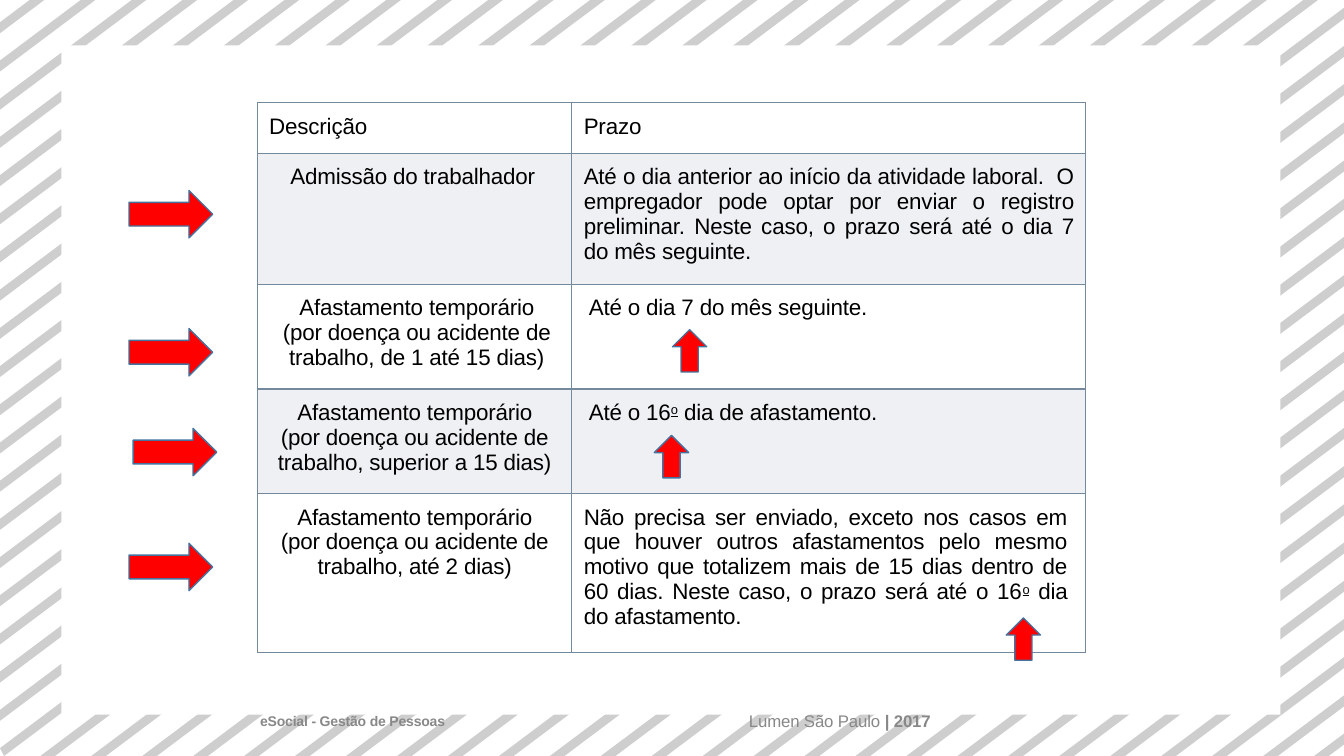
"""Build the slide listing eSocial events and their deadlines."""
import pptx
import pptx.dml.color
import pptx.enum.shapes
import pptx.enum.text
import pptx.oxml
import pptx.oxml.ns
import pptx.util
from pptx.util import Inches

ALIGN = pptx.enum.text.PP_ALIGN
SHAPE = pptx.enum.shapes.MSO_SHAPE
COLORS = {"stripe": "CECECE", "panel": "FFFFFF", "border": "748A9C", "band": "ABB8C3",
          "text": "000000", "footer": "888888", "arrow": "FF0000", "outline": "43739E"}
FONT = "Arial"
WIDTH, HEIGHT = 13.33, 7.5

# Each cell: alignment, left indent, right indent, runs (every second run is an ordinal mark).
ROWS = [
    (0.5, (ALIGN.LEFT, 0.12, 0, ["Descrição"]),
     (ALIGN.LEFT, 0.12, 0, ["Prazo"])),
    (1.3, (ALIGN.LEFT, 0.33, 0, ["Admissão do trabalhador"]),
     (ALIGN.JUSTIFY, 0.12, 0.11, [
         "Até o dia anterior ao início da atividade laboral.  O empregador pode optar por "
         "enviar o registro preliminar. Neste caso, o prazo será até o dia 7 do mês seguinte."])),
    (1.04, (ALIGN.CENTER, 0.22, 0.17, [
        "Afastamento temporário (por doença ou acidente de trabalho, de 1 até 15 dias)"]),
     (ALIGN.LEFT, 0.17, 0, ["Até o dia 7 do mês seguinte."])),
    (1.04, (ALIGN.CENTER, 0.18, 0.17, [
        "Afastamento temporário (por doença ou acidente de trabalho, superior a 15 dias)"]),
     (ALIGN.LEFT, 0.17, 0, ["Até o 16", "o", " dia de afastamento."])),
    (1.57, (ALIGN.CENTER, 0.18, 0.17, [
        "Afastamento temporário (por doença ou acidente de trabalho, até 2 dias)"]),
     (ALIGN.JUSTIFY, 0.12, 0.18, [
         "Não precisa ser enviado, exceto nos casos em que houver outros afastamentos pelo "
         "mesmo motivo que totalizem mais de 15 dias dentro de 60 dias. Neste caso, o prazo "
         "será até o 16", "o", " dia do afastamento."])),
]
COLUMNS = [3.12, 5.1]
TABLE_LEFT, TABLE_TOP = 2.55, 1.02
BANDED_ROWS = (1, 3)
FOOTERS = [
    ((6.08, 7.05, 4.5, 0.2), ALIGN.CENTER, 12, [("Lumen São Paulo ", False), ("| 2017", True)]),
    ((2.58, 7.07, 3, 0.17), ALIGN.LEFT, 10, [("eSocial - Gestão de Pessoas", True)]),
]
RIGHT_ARROWS = [(1.28, 1.89), (1.28, 3.26), (1.32, 4.25), (1.28, 5.39)]
UP_ARROWS = [(6.63, 3.31), (6.45, 4.36), (9.94, 6.17)]
STRIPE_COUNT, STRIPE_START, STRIPE_STEP, STRIPE_WIDTH = 46, 0.44, 0.5053, 0.145
STRIPE_RUN = 4 / 3


def rgb(name):
    return pptx.dml.color.RGBColor.from_string(COLORS[name])


def paint(shape, fill, line=None):
    shape.shadow.inherit = False
    shape.fill.solid()
    shape.fill.fore_color.rgb = rgb(fill)
    if line:
        shape.line.color.rgb = rgb(line)
        shape.line.width = pptx.util.Pt(1)
    else:
        shape.line.fill.background()


def add_span(para, text, size, color, bold=False):
    span = para.add_run()
    span.text = text
    span.font.name = FONT
    span.font.size = pptx.util.Pt(size)
    span.font.bold = bold
    span.font.color.rgb = rgb(color)
    span.font._element.set("spc", "-10")
    return span


def stripe_ends(edge):
    top = (edge, 0) if edge <= WIDTH else (WIDTH, (edge - WIDTH) / STRIPE_RUN)
    run = HEIGHT * STRIPE_RUN
    bottom = (0, edge / STRIPE_RUN) if edge <= run else (edge - run, HEIGHT)
    return top, bottom


def add_background(page):
    for index in range(STRIPE_COUNT):
        right = STRIPE_START + index * STRIPE_STEP
        right_top, right_bottom = stripe_ends(right)
        left_top, left_bottom = stripe_ends(right - STRIPE_WIDTH)
        start, *others = [(Inches(x), Inches(y)) for x, y in
                          (right_top, left_top, left_bottom, right_bottom)]
        outline = page.shapes.build_freeform(*start)
        outline.add_line_segments(others, close=True)
        paint(outline.convert_to_shape(), "stripe")
    panel = page.shapes.add_shape(SHAPE.RECTANGLE, Inches(0.61), Inches(0.45),
                                  Inches(12.09), Inches(6.64))
    paint(panel, "panel")


def style_cell(cell, banded):
    cell.margin_left = cell.margin_right = cell.margin_bottom = 0
    cell.margin_top = Inches(0.11)
    properties = cell._tc.get_or_add_tcPr()
    if banded:
        cell.fill.solid()
        cell.fill.fore_color.rgb = rgb("band")
        color = properties.find(".//" + pptx.oxml.ns.qn("a:srgbClr"))
        color.append(pptx.oxml.parse_xml(
            f'<a:alpha {pptx.oxml.ns.nsdecls("a")} val="20000"/>'))
    else:
        cell.fill.background()
    for position, side in enumerate("LRTB"):
        properties.insert(position, pptx.oxml.parse_xml(
            f'<a:ln{side} {pptx.oxml.ns.nsdecls("a")} w="12700"><a:solidFill>'
            f'<a:srgbClr val="{COLORS["border"]}"/></a:solidFill></a:ln{side}>'))


def add_deadlines(page):
    frame = page.shapes.add_table(
        len(ROWS), len(COLUMNS), Inches(TABLE_LEFT), Inches(TABLE_TOP),
        Inches(sum(COLUMNS)), Inches(sum(row[0] for row in ROWS)))
    table = frame.table
    table.first_row = table.horz_banding = False
    for column, width in zip(table.columns, COLUMNS):
        column.width = Inches(width)
    for row_index, (height, *cells) in enumerate(ROWS):
        table.rows[row_index].height = Inches(height)
        for column_index, (alignment, left, right, texts) in enumerate(cells):
            cell = table.cell(row_index, column_index)
            style_cell(cell, row_index in BANDED_ROWS)
            para = cell.text_frame.paragraphs[0]
            para.alignment = alignment
            properties = para._p.get_or_add_pPr()
            properties.set("marL", str(Inches(left)))
            properties.set("marR", str(Inches(right)))
            for position, text in enumerate(texts):
                span = add_span(para, text, 16, "text")
                if position % 2:
                    span.font.size = pptx.util.Pt(15.8)
                    span.font.underline = True
                    span.font._element.set("baseline", "26000")


def add_footers(page):
    for place, alignment, size, spans in FOOTERS:
        box = page.shapes.add_textbox(*map(Inches, place))
        text = box.text_frame
        text.word_wrap = True
        text.vertical_anchor = pptx.enum.text.MSO_ANCHOR.MIDDLE
        text.margin_left = text.margin_right = text.margin_top = text.margin_bottom = 0
        para = text.paragraphs[0]
        para.alignment = alignment
        for words, bold in spans:
            add_span(para, words, size, "footer", bold)


def add_arrows(page):
    for preset, places, size, rotation in (
            (SHAPE.RIGHT_ARROW, RIGHT_ARROWS, (0.83, 0.47), 0),
            (SHAPE.LEFT_ARROW, UP_ARROWS, (0.42, 0.34), 90)):
        for place in places:
            arrow = page.shapes.add_shape(preset, *map(Inches, place + size))
            arrow.rotation = rotation
            paint(arrow, "arrow", "outline")


def main():
    deck = pptx.Presentation()
    deck.slide_width, deck.slide_height = Inches(WIDTH), Inches(HEIGHT)
    page = deck.slides.add_slide(deck.slide_layouts[6])
    add_background(page)
    add_deadlines(page)
    add_footers(page)
    add_arrows(page)
    deck.save("out.pptx")


if __name__ == "__main__":
    main()
